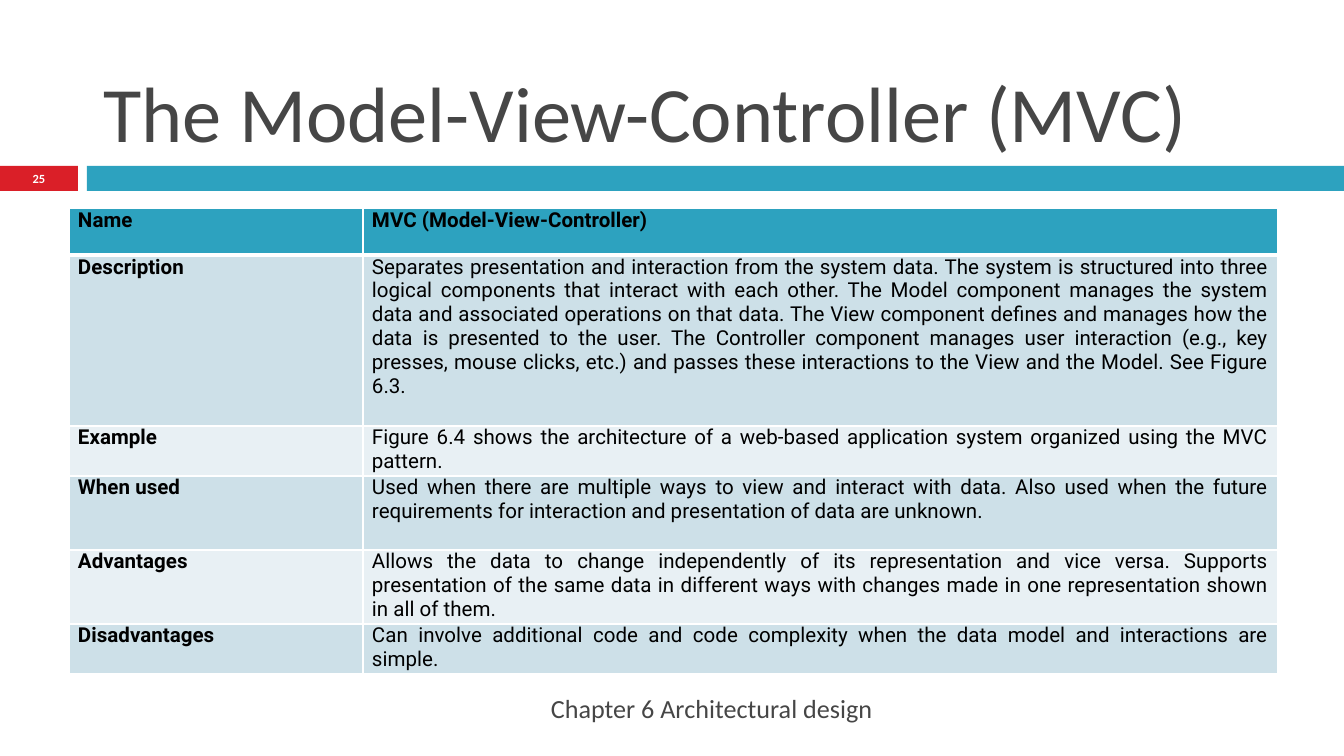
from lxml import etree
from pptx import Presentation
from pptx.dml.color import RGBColor
from pptx.enum.shapes import MSO_SHAPE
from pptx.enum.text import MSO_ANCHOR, PP_ALIGN
from pptx.oxml.ns import qn
from pptx.util import Emu, Pt

RECTANGLE = MSO_SHAPE.RECTANGLE
MIDDLE, BOTTOM = MSO_ANCHOR.MIDDLE, MSO_ANCHOR.BOTTOM
LEFT, CENTER, RIGHT, JUSTIFY = PP_ALIGN.LEFT, PP_ALIGN.CENTER, PP_ALIGN.RIGHT, PP_ALIGN.JUSTIFY

WIDTH, HEIGHT = 1344, 756
EMU_PER_PX = 9144000 / WIDTH
RED, TEAL, GREY = "DA1F28", "2DA2BF", "464646"
BLACK, WHITE = "000000", "FFFFFF"
BANDS = ("CDE0E8", "E8F0F4")
HEADING_FONT, TABLE_FONT = "Calibri", "Roboto"

COLUMN_WIDTHS = (294, 915)
ROW_HEIGHTS = (47, 171, 50, 74, 74, 50)
PATTERN = (
    ("Name", "MVC (Model-View-Controller)"),
    ("Description",
     "Separates presentation and interaction from the system data. The system is structured into "
     "three logical components that interact with each other. The Model component manages the "
     "system data and associated operations on that data. The View component defines and manages "
     "how the data is presented to the user. The Controller component manages user interaction "
     "(e.g., key presses, mouse clicks, etc.) and passes these interactions to the View and the "
     "Model. See Figure 6.3."),
    ("Example",
     "Figure 6.4 shows the architecture of a web-based application system organized using the "
     "MVC pattern."),
    ("When used",
     "Used when there are multiple ways to view and interact with data. Also used when the future "
     "requirements for interaction and presentation of data are unknown."),
    ("Advantages",
     "Allows the data to change independently of its representation and vice versa. Supports "
     "presentation of the same data in different ways with changes made in one representation "
     "shown in all of them."),
    ("Disadvantages",
     "Can involve additional code and code complexity when the data model and interactions are "
     "simple."),
)


def px(length):
    return Emu(round(length * EMU_PER_PX))


def color(value):
    return RGBColor.from_string(value)


class SlideBuilder:
    """Draws styled elements on the current slide."""

    def __init__(self, slide):
        self.slide = slide

    def add_words(self, paragraph, words, size, font, ink, align, bold=False):
        paragraph.alignment = align
        run = paragraph.add_run()
        run.text = words
        run.font.size = Pt(size)
        run.font.name = font
        run.font.bold = bold
        run.font.color.rgb = color(ink)

    def bar(self, left, top, width, height, fill):
        bar = self.slide.shapes.add_shape(RECTANGLE, px(left), px(top), px(width), px(height))
        bar.shadow.inherit = False
        bar.fill.solid()
        bar.fill.fore_color.rgb = color(fill)
        bar.line.fill.background()

    def text(self, left, top, width, height, words, size, ink, align, anchor, bold=False):
        box = self.slide.shapes.add_textbox(px(left), px(top), px(width), px(height))
        frame = box.text_frame
        frame.word_wrap = True
        frame.vertical_anchor = anchor
        self.add_words(frame.paragraphs[0], words, size, HEADING_FONT, ink, align, bold)

    def borders(self, cell, bottom_width):
        properties = cell._tc.get_or_add_tcPr()
        for index, side in enumerate(("lnL", "lnR", "lnT", "lnB")):
            points = bottom_width if side == "lnB" else 1
            line = etree.Element(qn(f"a:{side}"), w=str(Pt(points)))
            fill = etree.SubElement(line, qn("a:solidFill"))
            etree.SubElement(fill, qn("a:srgbClr"), val=WHITE)
            properties.insert(index, line)

    def cell(self, cell, words, fill, bold, bottom_width):
        cell.margin_left = cell.margin_right = px(9)
        cell.margin_top = cell.margin_bottom = 0
        cell.fill.solid()
        cell.fill.fore_color.rgb = color(fill)
        self.borders(cell, bottom_width)
        self.add_words(cell.text_frame.paragraphs[0], words, 11, TABLE_FONT, BLACK, JUSTIFY, bold)

    def table(self, left, top, widths, heights, entries):
        table = self.slide.shapes.add_table(
            len(heights), len(widths), px(left), px(top), px(sum(widths)), px(sum(heights))).table
        for column, width in zip(table.columns, widths):
            column.width = px(width)
        for row_index, (height, entry) in enumerate(zip(heights, entries)):
            table.rows[row_index].height = px(height)
            is_header = row_index == 0
            fill = TEAL if is_header else BANDS[(row_index - 1) % 2]
            for column_index, words in enumerate(entry):
                self.cell(table.cell(row_index, column_index), words, fill,
                          is_header or column_index == 0, 3 if is_header else 1)


def main():
    deck = Presentation()
    deck.slide_width, deck.slide_height = px(WIDTH), px(HEIGHT)
    builder = SlideBuilder(deck.slides.add_slide(deck.slide_layouts[6]))
    builder.bar(0, 166, 78, 25, RED)
    builder.bar(87, 166, 1257, 25, TEAL)
    builder.text(90, 17, 1199, 148, "The Model-View-Controller (MVC)", 42, GREY, LEFT, BOTTOM)
    builder.table(69, 208, COLUMN_WIDTHS, ROW_HEIGHTS, PATTERN)
    builder.text(0, 165, 78, 27, "25", 6.7, WHITE, CENTER, MIDDLE, bold=True)
    builder.text(90, 688, 796, 40, "Chapter 6 Architectural design", 14, GREY, RIGHT, MIDDLE)
    deck.save("out.pptx")


if __name__ == "__main__":
    main()
